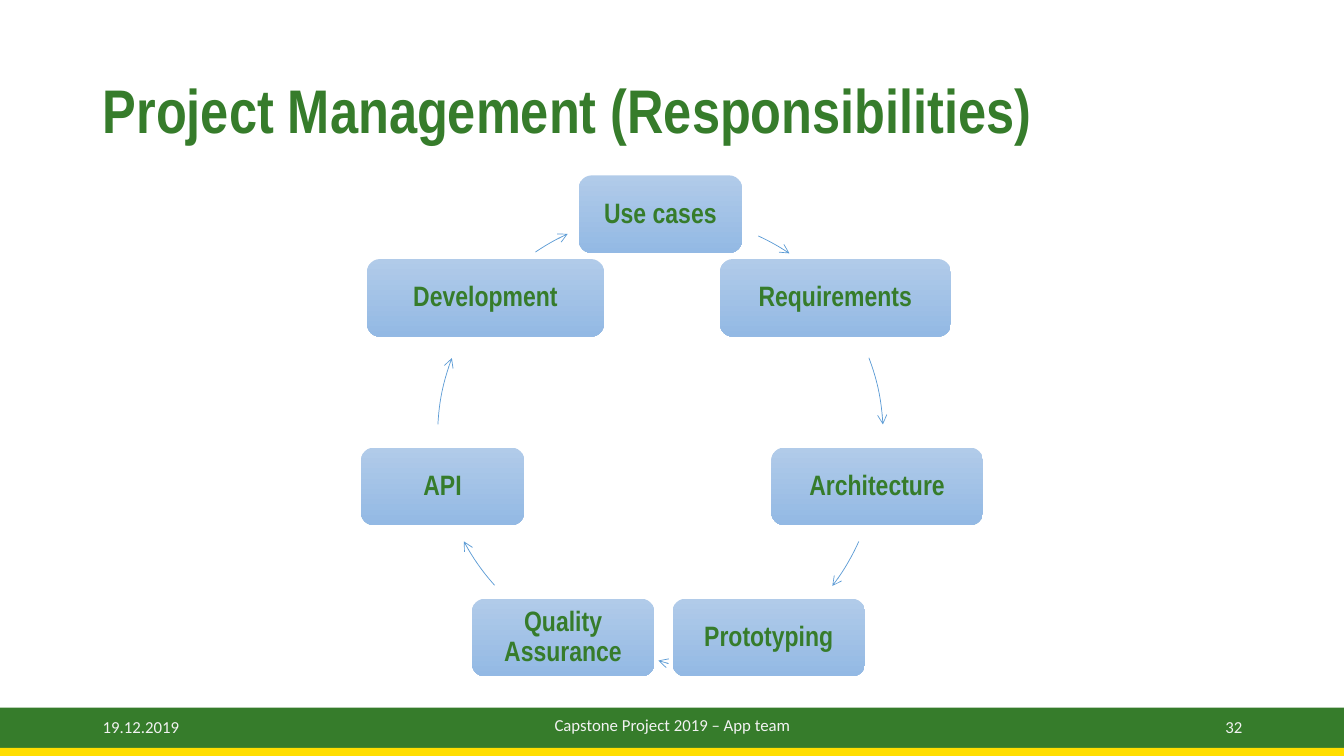
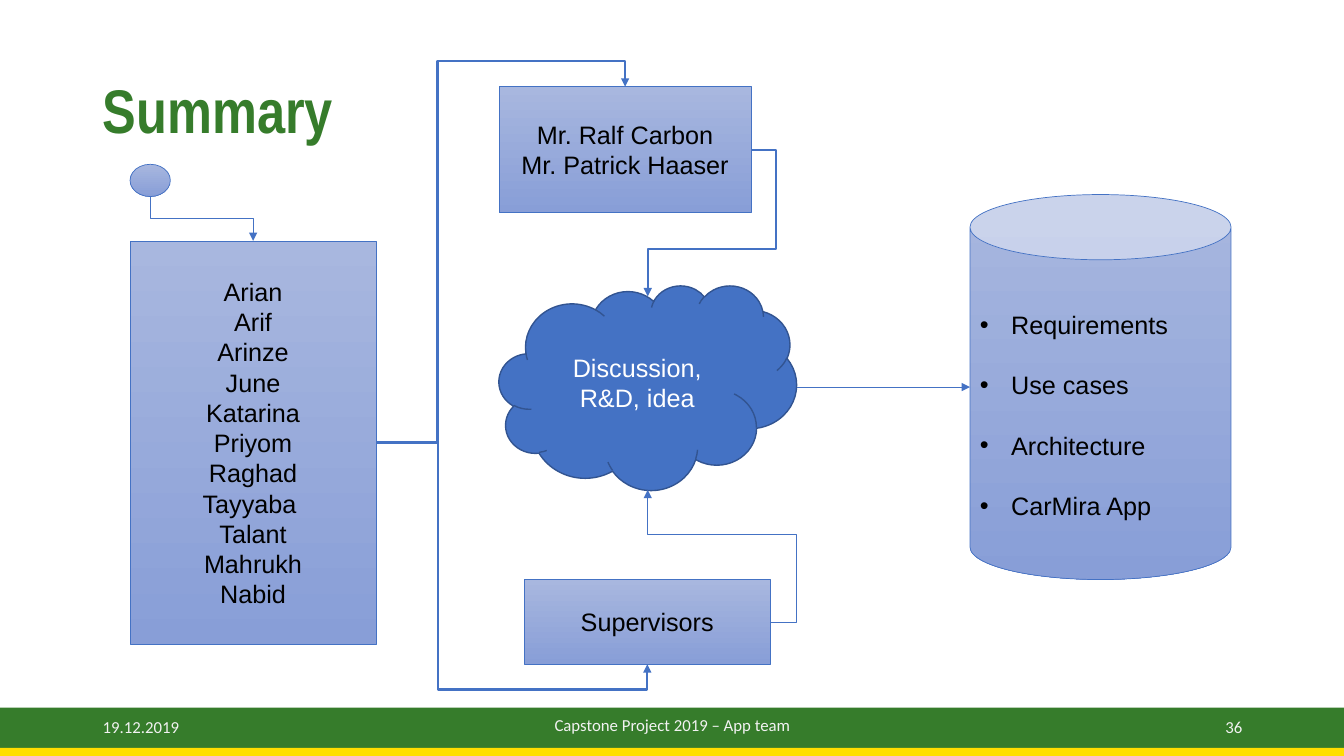
"""Build two project slides: a responsibility cycle and a summary flow."""
from dataclasses import dataclass
from typing import Optional

from lxml import etree
from pptx import Presentation
from pptx.dml.color import RGBColor
from pptx.enum import shapes, text
from pptx.oxml import ns
from pptx.util import Inches, Pt

GREEN = RGBColor(0x36, 0x7C, 0x2B)
YELLOW = RGBColor(0xFF, 0xDE, 0x00)
PALE = RGBColor(0xF2, 0xF2, 0xF2)
WHITE = RGBColor(0xFF, 0xFF, 0xFF)
BLACK = RGBColor(0x00, 0x00, 0x00)
ARC_BLUE = RGBColor(0x5B, 0x9B, 0xD5)
BLUE = RGBColor(0x44, 0x72, 0xC4)
DARK_BLUE = RGBColor(0x32, 0x54, 0x91)
NODE_FILL = (RGBColor(0xB1, 0xCB, 0xE9), RGBColor(0x93, 0xB9, 0xE4))
BOX_FILL = (RGBColor(0xA8, 0xB7, 0xDF), RGBColor(0x88, 0x9E, 0xD7))

LEFT, CENTER, RIGHT = text.PP_ALIGN.LEFT, text.PP_ALIGN.CENTER, text.PP_ALIGN.RIGHT
KIND = shapes.MSO_SHAPE
TOP_SIDE, LEFT_SIDE, BOTTOM_SIDE, RIGHT_SIDE = range(4)
SITES = {
    KIND.OVAL: (0, 2, 4, 6),
    KIND.CLOUD: (3, 2, 1, 0),
    KIND.CAN: (1, 2, 3, 4),
}
ARC_SIZE = 4.42
NODE_HEIGHT = 0.77


@dataclass(frozen=True)
class Node:
    """A responsibility in the cycle."""
    label: str
    left: float
    top: float
    width: float


@dataclass(frozen=True)
class Arc:
    """A curved arrow on a circle, with angles clockwise from the right."""
    left: float
    top: float
    start: float
    end: float


@dataclass(frozen=True)
class Box:
    """A shape in the summary flow."""
    name: str
    kind: shapes.MSO_SHAPE
    left: float
    top: float
    width: float
    height: float
    lines: tuple[str, ...] = ()


@dataclass(frozen=True)
class Link:
    """An elbow arrow between the sides of two boxes."""
    source: str
    source_side: int
    target: str
    target_side: int
    weight: float = 0.5
    via: Optional[tuple[float, float]] = None
    end_y: Optional[float] = None


NODES = (
    Node("Use cases", 5.74, 1.74, 1.62),
    Node("Requirements", 7.14, 2.57, 2.29),
    Node("Architecture", 7.65, 4.44, 2.1),
    Node("Prototyping", 6.67, 5.94, 1.91),
    Node("Quality Assurance", 4.68, 5.94, 1.81),
    Node("API", 3.58, 4.44, 1.62),
    Node("Development", 3.64, 2.57, 2.35),
)
ARCS = (
    Arc(4.39, 2.14, 294.6, 303.8),
    Arc(4.34, 2.12, 339.3, 356.9),
    Arc(4.29, 2.26, 24.1, 37.4),
    Arc(5, 2.24, 105.2, 107.9),
    Arc(4.34, 2.12, 138.1, 151.9),
    Arc(4.34, 2.12, 183.1, 200.6),
    Arc(4.34, 2.12, 235.9, 245.4),
)
BOXES = (
    Box("start", KIND.OVAL, 1.29, 1.63, 0.4, 0.32),
    Box("team", KIND.RECTANGLE, 1.29, 2.39, 2.44, 4,
        ("Arian", "Arif", "Arinze", "June", "Katarina", "Priyom", "Raghad",
         "Tayyaba ", "Talant", "Mahrukh", "Nabid")),
    Box("clients", KIND.RECTANGLE, 4.95, 0.86, 2.5, 1.25,
        ("Mr. Ralf Carbon", "Mr. Patrick Haaser")),
    Box("supervisors", KIND.RECTANGLE, 5.2, 5.75, 2.44, 0.84, ("Supervisors",)),
    Box("results", KIND.CAN, 9.62, 1.93, 2.59, 3.82,
        ("Requirements", "Use cases", "Architecture", "CarMira App")),
    Box("discussion", KIND.CLOUD, 4.95, 2.83, 2.95, 2.03,
        ("Discussion, R&D, idea",)),
)
LINKS = (
    Link("start", BOTTOM_SIDE, "team", TOP_SIDE),
    Link("team", RIGHT_SIDE, "clients", TOP_SIDE, 1.5, (4.34, 0.61)),
    Link("team", RIGHT_SIDE, "supervisors", BOTTOM_SIDE, 1.5, (4.34, 6.84)),
    Link("clients", RIGHT_SIDE, "discussion", TOP_SIDE, 1.5, (7.7, 2.47), 2.94),
    Link("supervisors", RIGHT_SIDE, "discussion", BOTTOM_SIDE, 0.5, (7.9, 5.3)),
    Link("discussion", RIGHT_SIDE, "results", LEFT_SIDE),
)


def write_text(shape, lines, *, size=18, font="Arial", color=BLACK, bold=False,
               align=CENTER, line_spacing=None, gap=0, bullet=False) -> None:
    """Write one paragraph per line in a single format, centred vertically."""
    frame = shape.text_frame
    frame.word_wrap = True
    frame.auto_size = text.MSO_AUTO_SIZE.NONE
    frame.vertical_anchor = text.MSO_ANCHOR.MIDDLE
    for index, line in enumerate(lines):
        para = frame.add_paragraph() if index else frame.paragraphs[0]
        para.alignment = align
        if line_spacing:
            para.line_spacing = line_spacing
        if gap and index:
            para.space_before = Pt(gap)
        if bullet:
            properties = para._p.get_or_add_pPr()
            properties.set("marL", str(Inches(0.31)))
            properties.set("indent", str(-Inches(0.31)))
            etree.SubElement(properties, ns.qn("a:buFont"), typeface="Arial")
            etree.SubElement(properties, ns.qn("a:buChar"), char="•")
        span = para.add_run()
        span.text = line
        span.font.size = Pt(size)
        span.font.name = font
        span.font.bold = bold
        span.font.color.rgb = color


def add_box(page, kind, left, top, width, height, *, fill=None, line=None, weight=0.5):
    """Add a preset shape with a plain fill, a gradient pair or no fill."""
    shape = page.shapes.add_shape(
        kind, Inches(left), Inches(top), Inches(width), Inches(height))
    shape.shadow.inherit = False
    if fill is None:
        shape.fill.background()
    elif isinstance(fill, RGBColor):
        shape.fill.solid()
        shape.fill.fore_color.rgb = fill
    else:
        shape.fill.gradient()
        shape.fill.gradient_angle = 270
        for stop, color in zip(shape.fill.gradient_stops, fill):
            stop.color.rgb = color
    if line is None:
        shape.line.fill.background()
    else:
        shape.line.color.rgb = line
        shape.line.width = Pt(weight)
    return shape


def add_arrowhead(shape, kind: str) -> None:
    """Put an arrowhead at the end of a line."""
    etree.SubElement(shape.line._get_or_add_ln(), ns.qn("a:tailEnd"), type=kind)


def add_page(deck, title: str, number: int):
    """Add a slide with its title, bands and footer."""
    page = deck.slides.add_slide(deck.slide_layouts[5])
    heading = page.shapes.title
    heading.left, heading.top = Inches(0.92), Inches(0.4)
    heading.width, heading.height = Inches(11.5), Inches(1.45)
    write_text(heading, [title], size=44, font="Arial Narrow", color=GREEN,
               bold=True, align=LEFT, line_spacing=0.9)
    add_box(page, KIND.RECTANGLE, 0, 7.02, 13.33, 0.4, fill=GREEN)
    add_box(page, KIND.RECTANGLE, 0, 7.42, 13.33, 0.08, fill=YELLOW)
    for label, left, top, width, align in (
        ("19.12.2019", 0.92, 7.01, 3, LEFT),
        ("Capstone Project 2019 – App team", 4.42, 6.99, 4.5, CENTER),
        (str(number), 9.42, 7.01, 3, RIGHT),
    ):
        footer = page.shapes.add_textbox(
            Inches(left), Inches(top), Inches(width), Inches(0.4))
        write_text(footer, [label], size=12, font="Calibri", color=PALE, align=align)
    return page


def draw_node(page, node: Node) -> None:
    """Draw one responsibility."""
    shape = add_box(page, KIND.ROUNDED_RECTANGLE, node.left, node.top,
                    node.width, NODE_HEIGHT, fill=NODE_FILL)
    frame = shape.text_frame
    frame.margin_left = frame.margin_right = Inches(0.12)
    frame.margin_top = frame.margin_bottom = Inches(0.12)
    write_text(shape, [node.label], size=20, font="Arial Narrow", color=GREEN,
               bold=True, line_spacing=0.9)


def draw_arc(page, arc: Arc) -> None:
    """Draw one curved arrow of the cycle."""
    shape = add_box(page, KIND.ARC, arc.left, arc.top, ARC_SIZE, ARC_SIZE, line=ARC_BLUE)
    for index, angle in enumerate((arc.start, arc.end)):
        shape.adjustments[index] = angle * 0.6
    add_arrowhead(shape, "arrow")


def draw_summary_box(page, box: Box):
    """Draw one shape of the summary flow."""
    cloud = box.kind == KIND.CLOUD
    can = box.kind == KIND.CAN
    shape = add_box(page, box.kind, box.left, box.top, box.width, box.height,
                    fill=BLUE if cloud else BOX_FILL,
                    line=DARK_BLUE if cloud else BLUE, weight=1 if cloud else 0.5)
    if box.lines:
        write_text(shape, box.lines, color=WHITE if cloud else BLACK,
                   align=LEFT if can else CENTER, gap=21.5 if can else 0, bullet=can)
    if can:
        shape.text_frame.margin_top = Inches(0.28)
    return shape


def turn_upright(connector) -> None:
    """Turn an elbow so that it leaves and arrives vertically."""
    across = connector.end_x - connector.begin_x
    down = connector.end_y - connector.begin_y
    middle_x = connector.begin_x + across // 2
    middle_y = connector.begin_y + down // 2
    connector.begin_x, connector.end_x = middle_x + down // 2, middle_x - down // 2
    connector.begin_y, connector.end_y = middle_y - across // 2, middle_y + across // 2
    connector._element.spPr.find(ns.qn("a:xfrm")).set("rot", str(270 * 60000))


def draw_link(page, link: Link, drawn: dict) -> None:
    """Draw one elbow arrow joined to its two boxes."""
    source, target = drawn[link.source], drawn[link.target]
    connector = page.shapes.add_connector(shapes.MSO_CONNECTOR.ELBOW, 0, 0, 0, 0)
    connector.begin_connect(source, link.source_side)
    connector.end_connect(target, link.target_side)
    if link.end_y is not None:
        connector.end_y = Inches(link.end_y)
    for tag, shape, side in (("a:stCxn", source, link.source_side),
                             ("a:endCxn", target, link.target_side)):
        site = SITES.get(shape.auto_shape_type, range(4))[side]
        next(connector._element.iter(ns.qn(tag))).set("idx", str(site))
    if link.via:
        geometry = connector._element.spPr.find(ns.qn("a:prstGeom"))
        geometry.set("prst", "bentConnector4")
        guides = geometry.find(ns.qn("a:avLst"))
        if guides is None:
            guides = etree.SubElement(geometry, ns.qn("a:avLst"))
        starts = (connector.begin_x, connector.begin_y)
        ends = (connector.end_x, connector.end_y)
        for index, (via, start, end) in enumerate(zip(link.via, starts, ends), 1):
            ratio = round((Inches(via) - start) / (end - start) * 100000)
            etree.SubElement(guides, ns.qn("a:gd"), name=f"adj{index}", fmla=f"val {ratio}")
    elif link.source_side == BOTTOM_SIDE:
        turn_upright(connector)
    connector.line.color.rgb = BLUE
    connector.line.width = Pt(link.weight)
    add_arrowhead(connector, "triangle")
    etree.SubElement(connector._element.spPr, ns.qn("a:effectLst"))


def main() -> None:
    """Build and save the deck."""
    deck = Presentation()
    deck.slide_width, deck.slide_height = Inches(13.33), Inches(7.5)
    cycle = add_page(deck, "Project Management (Responsibilities)", 32)
    for node, arc in zip(NODES, ARCS):
        draw_node(cycle, node)
        draw_arc(cycle, arc)
    summary = add_page(deck, "Summary", 36)
    drawn = {box.name: draw_summary_box(summary, box) for box in BOXES}
    for link in LINKS:
        draw_link(summary, link, drawn)
    deck.save("out.pptx")


if __name__ == "__main__":
    main()
